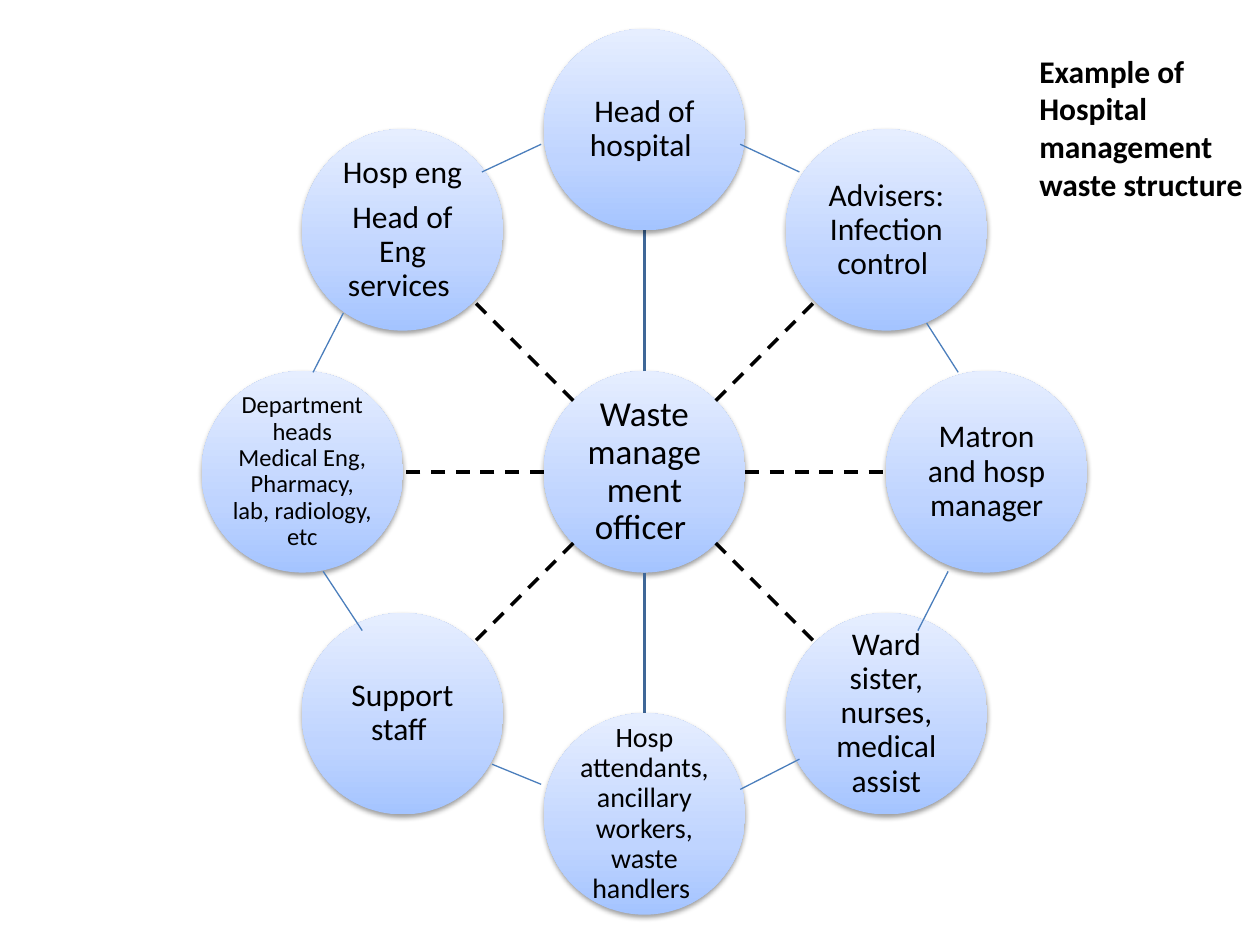
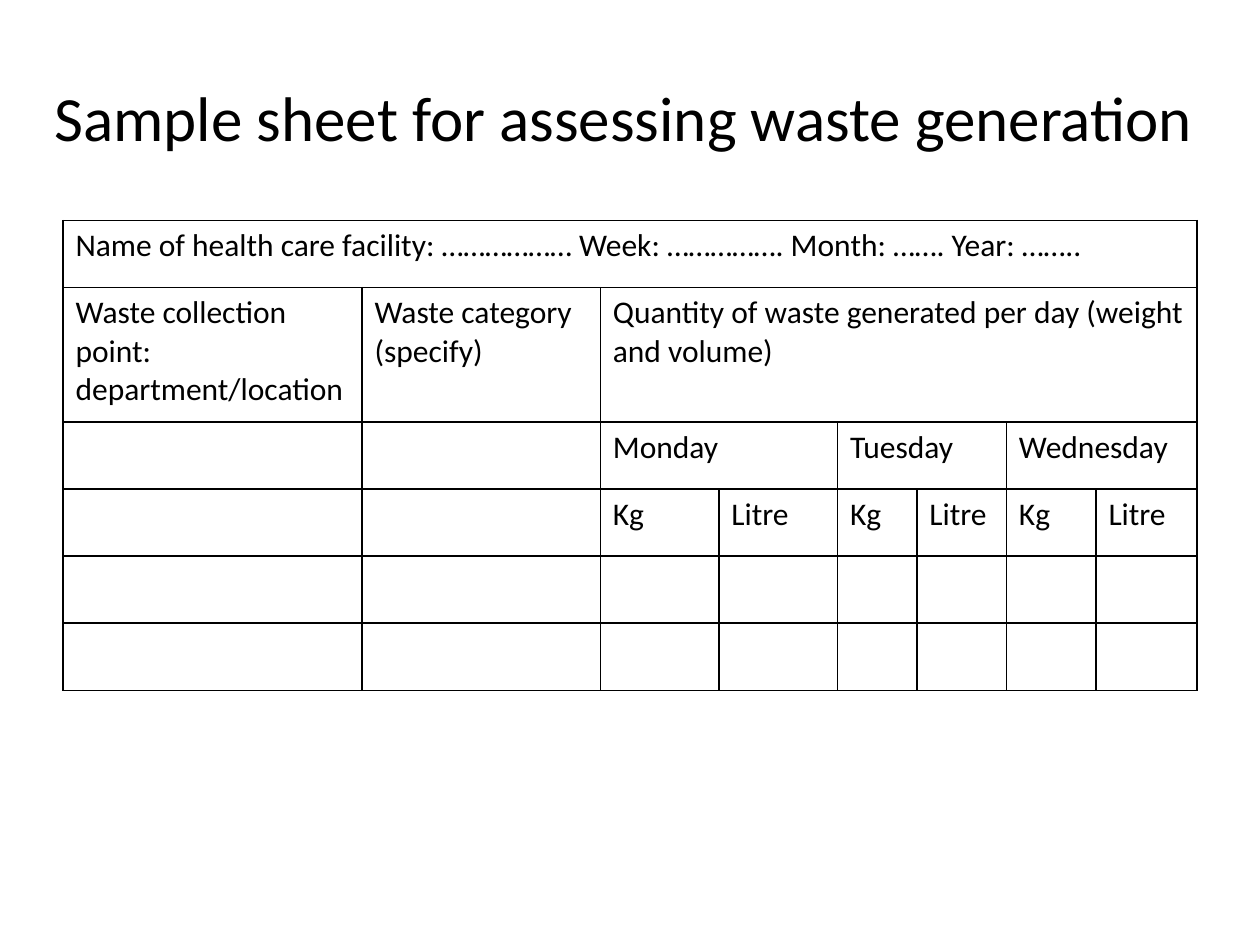
from math import cos, radians, sin

from pptx import Presentation
from pptx.dml.color import RGBColor as RGB
from pptx.enum.dml import MSO_LINE
from pptx.enum.shapes import MSO_CONNECTOR as CONN, MSO_SHAPE as SHAPE
from pptx.enum.text import MSO_ANCHOR as ANCHOR, PP_ALIGN as ALIGN
from pptx.oxml import parse_xml
from pptx.oxml.ns import nsdecls, qn
from pptx.util import Inches, Pt

COLORS = {
    "text": "000000", "page": "FFFFFF", "spoke": "3F6797", "dash": "000000",
    "link": "4B7EBC", "border": "000000", "shadow": "000000",
    "low": "A4C4FF", "mid": "BFD4FF", "high": "E6EEFF",
}
FONT = "Calibri"
COLS, ROWS = 10, 7.5

prs = Presentation()
prs.slide_width, prs.slide_height = Inches(10), Inches(7.5)


def gx(cols):
    return round(prs.slide_width * cols / COLS)


def gy(rows):
    return round(prs.slide_height * rows / ROWS)


def add_slide():
    s = prs.slides.add_slide(prs.slide_layouts[6])
    s.background.fill.solid()
    s.background.fill.fore_color.rgb = RGB.from_string(COLORS["page"])
    return s


def write(tf, paragraphs, size, align=None, bold=False, spacing=None, after=0):
    tf.word_wrap = True
    for i, text in enumerate(paragraphs):
        p = tf.paragraphs[0] if i == 0 else tf.add_paragraph()
        p.alignment = align
        if spacing:
            p.line_spacing = spacing
            p.space_after = Pt(size * after)
        r = p.add_run()
        r.text = text
        r.font.name, r.font.size, r.font.bold = FONT, Pt(size), bold
        r.font.color.rgb = RGB.from_string(COLORS["text"])


def add_text(s, box, text, size, align=None, bold=False, anchor=ANCHOR.TOP):
    x, y, w, h = box
    tf = s.shapes.add_textbox(gx(x), gy(y), gx(w), gy(h)).text_frame
    tf.vertical_anchor = anchor
    write(tf, [text], size, align, bold)


def add_line(s, start, end, color, width, dashed=False):
    c = s.shapes.add_connector(CONN.STRAIGHT, gx(start[0]), gy(start[1]),
                               gx(end[0]), gy(end[1]))
    c.line.color.rgb = RGB.from_string(COLORS[color])
    c.line.width = Pt(width)
    if dashed:
        c.line.dash_style = MSO_LINE.DASH
    c._element.spPr.append(parse_xml(f"<a:effectLst {nsdecls('a')}/>"))


def style_disc(sp):
    sp.line.fill.background()
    spPr = sp._element.spPr
    stops = "".join(
        f'<a:gs pos="{pos * 1000}"><a:srgbClr val="{COLORS[name]}"/></a:gs>'
        for pos, name in ((0, "low"), (35, "mid"), (100, "high")))
    spPr.find(qn("a:prstGeom")).addnext(parse_xml(
        f'<a:gradFill {nsdecls("a")} rotWithShape="1"><a:gsLst>{stops}</a:gsLst>'
        '<a:lin ang="16200000" scaled="0"/></a:gradFill>'))
    spPr.append(parse_xml(
        f'<a:effectLst {nsdecls("a")}><a:outerShdw blurRad="{Pt(3.1)}" '
        f'dist="{Pt(1.6)}" dir="5400000" rotWithShape="0">'
        f'<a:srgbClr val="{COLORS["shadow"]}"><a:alpha val="38000"/></a:srgbClr>'
        '</a:outerShdw></a:effectLst>'))


def add_disc(s, center, size, paragraphs, font_size):
    x, y = center
    sp = s.shapes.add_shape(SHAPE.OVAL, gx(x - size / 2), gy(y - size / 2),
                            gx(size), gy(size))
    style_disc(sp)
    tf = sp.text_frame
    tf.margin_left = tf.margin_right = Inches(0.01)
    tf.margin_top = tf.margin_bottom = Inches(0.01)
    tf.vertical_anchor = ANCHOR.MIDDLE
    write(tf, paragraphs, font_size, ALIGN.CENTER, spacing=0.9, after=0.35)


def add_wheel(s, box, hub, members, links):
    x, y, side = box
    center = (x + side / 2, y + side / 2)
    disc = side * 0.2275
    ring = (side - disc) / 2

    def polar(radius, angle):
        return (center[0] + radius * cos(angle), center[1] + radius * sin(angle))

    add_disc(s, center, disc, *hub)
    for i, member in enumerate(members):
        angle = radians(360 * i / len(members) - 90)
        solid = i % (len(members) // 2) == 0
        add_line(s, polar(disc / 2, angle), polar(ring - disc / 2, angle),
                 "spoke" if solid else "dash", 2, not solid)
        add_disc(s, polar(ring, angle), disc, *member)
    for x1, y1, x2, y2 in links:
        add_line(s, (center[0] + x1, center[1] + y1),
                 (center[0] + x2, center[1] + y2), "link", 0.75)


def style_cell(cell):
    cell.fill.background()
    tcPr = cell._tc.get_or_add_tcPr()
    for i, edge in enumerate("LRTB"):
        tcPr.insert(i, parse_xml(
            f'<a:ln{edge} {nsdecls("a")} w="{Pt(1)}"><a:solidFill>'
            f'<a:srgbClr val="{COLORS["border"]}"/></a:solidFill></a:ln{edge}>'))


def add_sheet(s, box, col_widths, row_heights, entries):
    x, y, w, h = box
    table = s.shapes.add_table(len(row_heights), len(col_widths),
                               gx(x), gy(y), gx(w), gy(h)).table
    table.first_row = table.horz_banding = False
    for col, width in zip(table.columns, col_widths):
        col.width = gx(w * width / sum(col_widths))
    for row, height in zip(table.rows, row_heights):
        row.height = gy(h * height / sum(row_heights))
    for cell in table.iter_cells():
        style_cell(cell)
    for row, col, span, text in entries:
        cell = table.cell(row, col)
        if span > 1:
            cell.merge(table.cell(row, col + span - 1))
        write(cell.text_frame, [text], 18)


HUB = (["Waste management officer "], 20)
MEMBERS = [
    (["Head of hospital "], 18),
    (["Advisers: Infection control "], 18),
    (["Matron and hosp manager"], 18),
    (["Ward sister, nurses, medical assist"], 18),
    (["Hosp attendants, ancillary workers, waste handlers "], 16),
    (["Support staff "], 18),
    (["Department heads Medical Eng, Pharmacy, lab, radiology, etc"], 14),
    (["Hosp eng", "Head of Eng services "], 18),
]
LINKS = [
    (-1.29, -2.38, -0.82, -2.6), (-2.39, -1.26, -2.63, -0.79),
    (-2.55, 0.79, -2.24, 1.26), (-1.21, 2.32, -0.82, 2.48),
    (0.76, 2.52, 1.23, 2.28), (2.17, 1.26, 2.41, 0.79),
    (2.24, -1.18, 2.49, -0.79), (0.76, -2.6, 1.23, -2.38),
]
ENTRIES = [
    (0, 0, 8, "Name of health care facility: ……………… Week: ……………. Month: ……. Year: …….."),
    (1, 0, 1, "Waste collection point: department/location "),
    (1, 1, 1, "Waste category (specify)"),
    (1, 2, 6, "Quantity of waste generated per day (weight and volume)"),
]
for i, day in enumerate(("Monday", "Tuesday ", "Wednesday ")):
    first = 2 + 2 * i
    ENTRIES += [(2, first, 2, day), (3, first, 1, "Kg"), (3, first + 1, 1, "Litre")]

s = add_slide()
add_wheel(s, (1.6, 0.23, 7.03), HUB, MEMBERS, LINKS)
add_text(s, (8.15, 0.36, 1.85, 1.31),
         "Example of Hospital management waste structure  ", 18, bold=True)

s = add_slide()
add_text(s, (0.2, 0.3, 9.61, 1.25), "Sample sheet for assessing waste generation ",
         36, ALIGN.CENTER, anchor=ANCHOR.MIDDLE)
add_sheet(s, (0.5, 1.75, 9, 3.73),
          (2.37, 1.89, 0.94, 0.94, 0.63, 0.71, 0.71, 0.8),
          (1, 2, 1, 1, 1, 1), ENTRIES)

prs.save("out.pptx")
